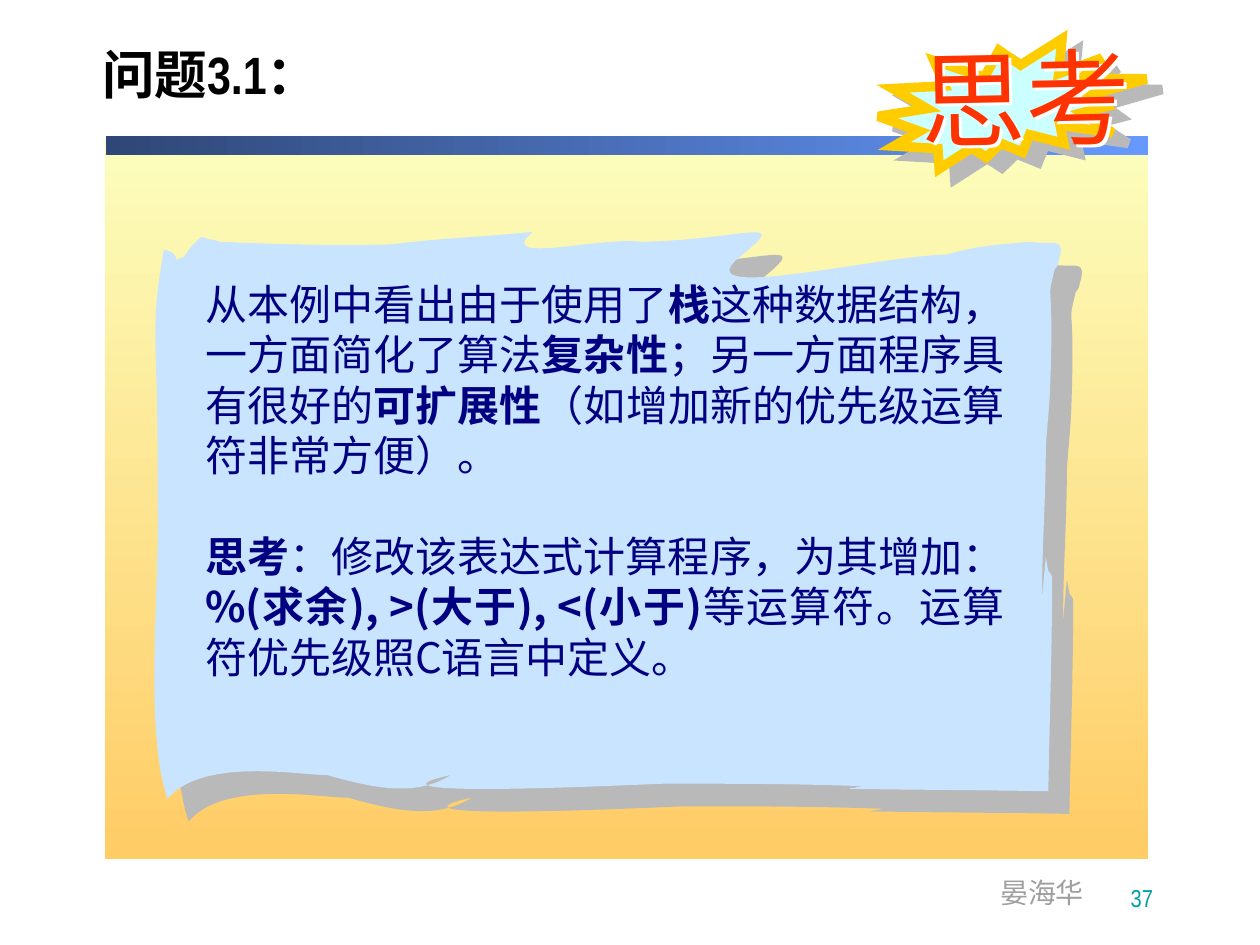
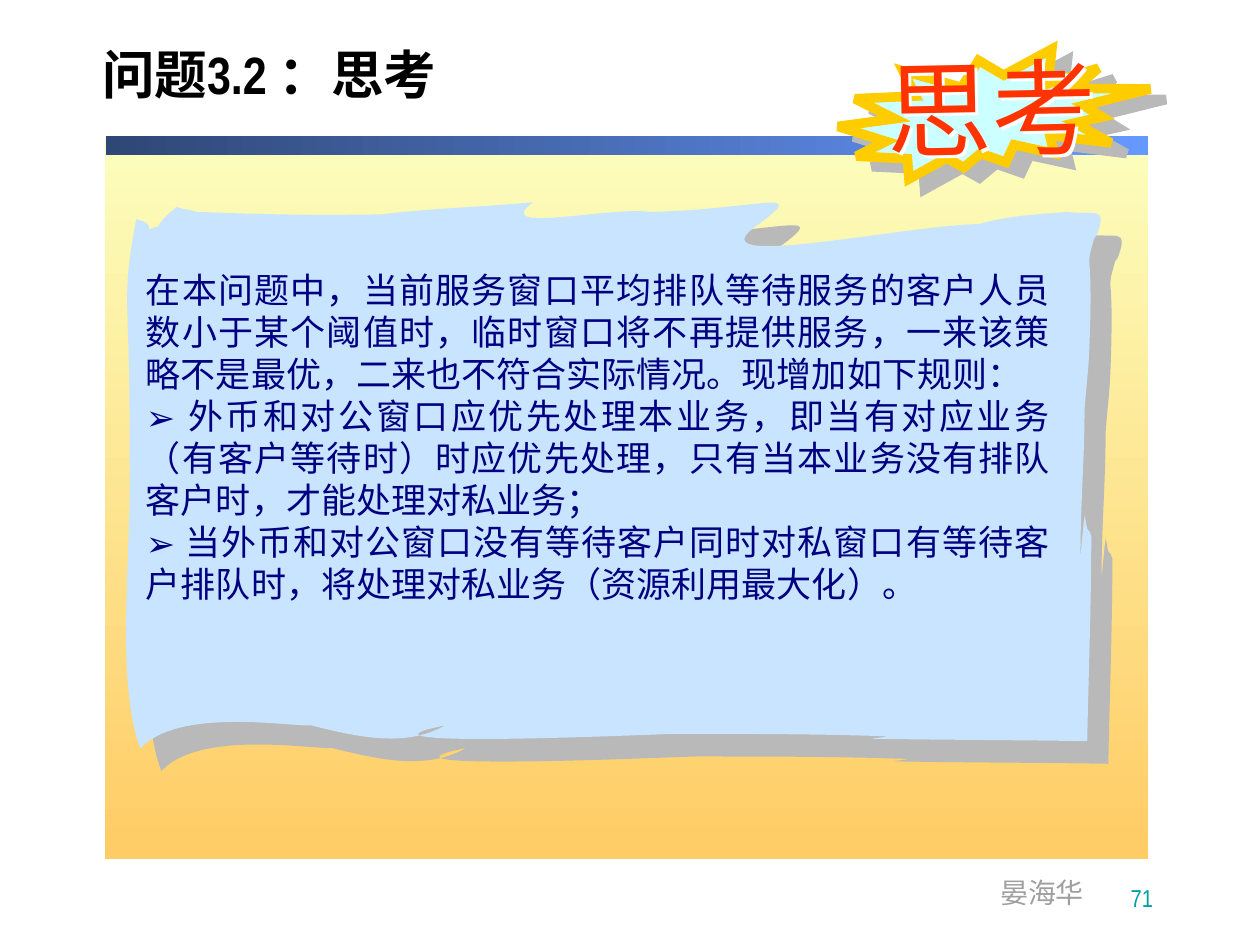
"""Builds two thinking-question slides with a torn-paper note and a starburst."""
from dataclasses import dataclass

from lxml import etree
from pptx import Presentation
from pptx import util as u
from pptx.dml.color import RGBColor
from pptx.enum import shapes as kinds, text as styles
from pptx.oxml.ns import qn
from pptx.slide import Slide, SlideLayout

COLORS = {
    "panel top": "FCFEBC", "panel bottom": "FFCC66",
    "band left": "2F4776", "band right": "6699FF",
    "title": "000000", "author": "9F9F9F", "number": "009EA1",
    "paper": "C9E4FF", "ink": "000080", "shadow": "B9B9B9",
    "burst": "CCFFFF", "burst edge": "FFCC00", "slogan": "FF3300", "glow": "FFFFFF",
}
NARROW, SANS, DISPLAY = "Arial Narrow", "Noto Sans CJK SC", "Noto Sans CJK JP"
LINE_RATIO = 1.2
FIRST_SHARED_ID = 100

PAPER_START = (1.75, 1.92)
PAPER_CURVES = [
    (2.25, 1.94, 2.59, 1.95, 3.11, 1.94), (3.48, 1.89, 3.85, 1.88, 4.23, 1.84),
    (3.9, 2.11, 4.82, 1.87, 5.09, 1.92), (5.92, 1.9, 6.29, 1.7, 5.87, 2.04),
    (5.42, 2.41, 6.97, 2.03, 7.52, 2.02), (7.74, 1.95, 7.95, 1.94, 8.17, 1.92),
    (8.38, 1.95, 8.46, 1.87, 8.4, 2.08), (8.4, 2.11, 8.38, 2.12, 8.37, 2.14),
    (8.3, 2.43, 8.36, 2.16, 8.34, 2.9), (8.33, 3.27, 8.32, 3.25, 8.3, 3.55),
    (8.3, 3.94, 8.27, 4.34, 8.27, 4.73), (8.27, 4.8, 8.28, 4.6, 8.29, 4.53),
    (8.29, 4.49, 8.3, 4.46, 8.3, 4.42), (8.31, 4.46, 8.31, 4.49, 8.32, 4.53),
    (8.33, 4.55, 8.35, 4.56, 8.35, 4.59), (8.35, 5.15, 8.33, 5.71, 8.32, 6.28),
    (7.79, 6.27, 7.27, 6.27, 6.74, 6.26), (6.71, 6.26, 6.87, 6.24, 6.84, 6.24),
    (6.32, 6.22, 5.8, 6.22, 5.28, 6.22), (5.17, 6.22, 2.67, 6.35, 3.58, 6.15),
    (3.28, 6.34, 2.92, 6.24, 2.59, 6.15), (2.43, 6.16, 1.61, 6, 1.33, 6.34),
    (1.14, 5.78, 1.27, 4.69, 1.25, 3.98), (1.26, 2.54, 1.18, 2.7, 1.3, 1.98),
    (1.32, 1.99, 1.34, 1.99, 1.36, 2), (1.45, 2.07, 1.33, 2.08, 1.46, 2.04),
    (1.5, 1.97, 1.54, 1.93, 1.6, 1.88), (1.65, 1.9, 1.69, 1.9, 1.75, 1.92),
    (1.75, 1.92, 1.88, 1.97, 1.75, 1.92),
]


@dataclass(frozen=True)
class Box:
    """A rectangle in inches."""
    left: float
    top: float
    width: float
    height: float

    def lengths(self) -> tuple:
        """Return the four sides as slide lengths."""
        return tuple(u.Inches(side) for side in (self.left, self.top, self.width, self.height))


@dataclass(frozen=True)
class Style:
    """How the characters of a text look."""
    size: float
    color: str
    latin: str
    asian: str = DISPLAY


@dataclass(frozen=True)
class Para:
    """A paragraph whose spans alternate between regular and bold."""
    spans: tuple[str, ...]
    bullet: str = ""
    space_before: float = 0


@dataclass(frozen=True)
class Question:
    """The content and layout of one slide."""
    title: str
    number: str
    paper: Box
    note: Box
    note_size: float
    paras: tuple[Para, ...]
    burst: Box
    slogan: Box


PAPER_FRAME = Box(1.14, 1.7, 7.32, 4.65)
QUESTIONS = [
    Question(
        "问题3.1：", "37", PAPER_FRAME, Box(1.53, 2.16, 6.54, 3.74), 24,
        (
            Para(("从本例中看出由于使用了", "栈", "这种数据结构，一方面简化了算法", "复杂性",
                  "；另一方面程序具有很好的", "可扩展性", "（如增加新的优先级运算符非常方便）。")),
            Para(("", "思考", "：修改该表达式计算程序，为其增加：", "%(求余), >(大于), <(小于)",
                  "等运算符。运算符优先级照C语言中定义。"), space_before=24 * LINE_RATIO),
        ),
        Box(6.97, 0.31, 2.13, 1.03), Box(7.21, 0.21, 2.44, 1.1),
    ),
    Question(
        "问题3.2 ：思考", "71", Box(0.91, 1.47, 7.87, 4.48), Box(1.06, 2.08, 7.37, 2.79), 20,
        (
            Para(("在本问题中，当前服务窗口平均排队等待服务的客户人员数小于某个阈值时，临时窗口将"
                  "不再提供服务，一来该策略不是最优，二来也不符合实际情况。现增加如下规则：",)),
            Para((" 外币和对公窗口应优先处理本业务，即当有对应业务（有客户等待时）时应优先处理，"
                  "只有当本业务没有排队客户时，才能处理对私业务；",), "➢"),
            Para((" 当外币和对公窗口没有等待客户同时对私窗口有等待客户排队时，"
                  "将处理对私业务（资源利用最大化）。",), "➢"),
        ),
        Box(6.65, 0.39, 2.48, 1.03), Box(6.94, 0.29, 2.84, 1.1),
    ),
]


def rgb(name: str) -> RGBColor:
    """Look up a colour by its name."""
    return RGBColor.from_string(COLORS[name])


def style_span(span, style: Style, bold: bool) -> None:
    """Format one run, East Asian font included."""
    span.font.size = u.Pt(style.size)
    span.font.bold = bold
    span.font.color.rgb = rgb(style.color)
    span.font.name = style.latin
    etree.SubElement(span.font._element, qn("a:ea"), typeface=style.asian)


def cast_shadow(shape, color: str, distance: float, angle: float) -> None:
    """Give a shape a hard offset shadow."""
    shape.shadow.inherit = False
    effects = shape._element.spPr.find(qn("a:effectLst"))
    outer = etree.SubElement(effects, qn("a:outerShdw"), blurRad="0", dist=str(u.Pt(distance)),
                             dir=str(int(angle * 60000)), algn="ctr", rotWithShape="0")
    etree.SubElement(outer, qn("a:srgbClr"), val=COLORS[color])


def add_bullet(para, character: str, font: str) -> None:
    """Put an unindented bullet before a paragraph."""
    settings = para._p.get_or_add_pPr()
    settings.set("marL", "0")
    settings.set("indent", "0")
    etree.SubElement(settings, qn("a:buFont"), typeface=font)
    etree.SubElement(settings, qn("a:buChar"), char=character)


def add_text(slide: Slide, box: Box, paras: tuple[Para, ...], style: Style,
             align=styles.PP_ALIGN.LEFT, anchor=styles.MSO_ANCHOR.TOP, wrap: bool = True):
    """Add a text box with evenly pitched lines."""
    shape = slide.shapes.add_textbox(*box.lengths())
    frame = shape.text_frame
    frame.word_wrap = wrap
    frame.vertical_anchor = anchor
    for index, item in enumerate(paras):
        para = frame.add_paragraph() if index else frame.paragraphs[0]
        para.alignment = align
        para.line_spacing = u.Pt(style.size * LINE_RATIO)
        para.space_before = u.Pt(item.space_before)
        if item.bullet:
            add_bullet(para, item.bullet, style.latin)
        for position, words in enumerate(item.spans):
            if words:
                span = para.add_run()
                span.text = words
                style_span(span, style, bold=position % 2 == 1)
    return shape


def add_gradient(slide: Slide, box: Box, start: str, end: str, angle: float):
    """Add a borderless rectangle with a two-colour gradient."""
    shape = slide.shapes.add_shape(kinds.MSO_SHAPE.RECTANGLE, *box.lengths())
    shape.shadow.inherit = False
    shape.line.fill.background()
    shape.fill.gradient()
    shape.fill.gradient_angle = angle
    for stop, color in zip(shape.fill.gradient_stops, (start, end)):
        stop.color.rgb = rgb(color)
    return shape


def curve_segments(shape) -> None:
    """Turn each three line segments of an outline into one cubic curve."""
    lines = list(shape._element.iter(qn("a:lnTo")))
    for first, second, third in zip(lines[::3], lines[1::3], lines[2::3]):
        curve = etree.Element(qn("a:cubicBezTo"))
        first.addprevious(curve)
        for line in (first, second, third):
            curve.append(line[0])
            line.getparent().remove(line)


def add_paper(slide: Slide, box: Box) -> None:
    """Add the torn paper, stretched to the given box."""
    x_scale = box.width / PAPER_FRAME.width
    y_scale = box.height / PAPER_FRAME.height
    corners = [PAPER_START]
    for curve in PAPER_CURVES:
        corners.extend(zip(curve[::2], curve[1::2]))
    points = [(u.Inches(box.left + (x - PAPER_FRAME.left) * x_scale),
               u.Inches(box.top + (y - PAPER_FRAME.top) * y_scale)) for x, y in corners]
    builder = slide.shapes.build_freeform(*points[0])
    builder.add_line_segments(points[1:], close=True)
    paper = builder.convert_to_shape()
    curve_segments(paper)
    paper.fill.solid()
    paper.fill.fore_color.rgb = rgb("paper")
    paper.line.fill.background()
    cast_shadow(paper, "shadow", 17.7, 47)


def add_burst(slide: Slide, box: Box, slogan_box: Box) -> None:
    """Add the starburst and its tilted slogan."""
    burst = slide.shapes.add_shape(kinds.MSO_SHAPE.EXPLOSION2, *box.lengths())
    burst.fill.solid()
    burst.fill.fore_color.rgb = rgb("burst")
    burst.line.color.rgb = rgb("burst edge")
    burst.line.width = u.Pt(5.5)
    etree.SubElement(burst._element.spPr.find(qn("a:ln")), qn("a:miter"), lim="800000")
    cast_shadow(burst, "shadow", 10.8, 34)
    slogan = add_text(slide, slogan_box, (Para(("思考",)),), Style(60, "slogan", DISPLAY))
    slogan.rotation = 358.9
    cast_shadow(slogan, "glow", 2.5, 45)


def share_frame(slide: Slide, layout: SlideLayout) -> None:
    """Draw the panel, band and author, and hand them to the layout."""
    shared = (
        add_gradient(slide, Box(0.83, 1.1, 8.28, 5.72), "panel top", "panel bottom", 270),
        add_gradient(slide, Box(0.84, 1.08, 8.27, 0.15), "band left", "band right", 0),
        add_text(slide, Box(7.84, 6.9, 0.87, 0.37), (Para(("晏海华",)),),
                 Style(16, "author", NARROW), wrap=False),
    )
    for number, shape in enumerate(shared, FIRST_SHARED_ID):
        next(shape.element.iter(qn("p:cNvPr"))).set("id", str(number))
        layout.shapes.element.append(shape.element)


def add_heading(slide: Slide, title: str, number: str) -> None:
    """Fill the title and add the slide number."""
    heading = slide.shapes.title
    heading.left, heading.top, heading.width, heading.height = Box(0.71, 0.17, 8.96, 0.92).lengths()
    heading.text_frame.text = title
    heading.text_frame.vertical_anchor = styles.MSO_ANCHOR.MIDDLE
    para = heading.text_frame.paragraphs[0]
    para.alignment = styles.PP_ALIGN.LEFT
    para.line_spacing = 0.8
    style_span(para.runs[0], Style(30, "title", NARROW), bold=True)
    add_text(slide, Box(7.36, 6.81, 1.89, 0.48), (Para((number,)),), Style(14, "number", NARROW),
             align=styles.PP_ALIGN.RIGHT, anchor=styles.MSO_ANCHOR.BOTTOM)


def main() -> None:
    """Build and save the deck."""
    deck = Presentation()
    deck.slide_width, deck.slide_height = u.Inches(10), u.Inches(7.5)
    layout = deck.slide_layouts[5]
    for index, question in enumerate(QUESTIONS):
        slide = deck.slides.add_slide(layout)
        if index == 0:
            share_frame(slide, layout)
        add_heading(slide, question.title, question.number)
        add_paper(slide, question.paper)
        add_text(slide, question.note, question.paras,
                 Style(question.note_size, "ink", SANS, SANS), align=styles.PP_ALIGN.JUSTIFY)
        add_burst(slide, question.burst, question.slogan)
    deck.save("out.pptx")


if __name__ == "__main__":
    main()
